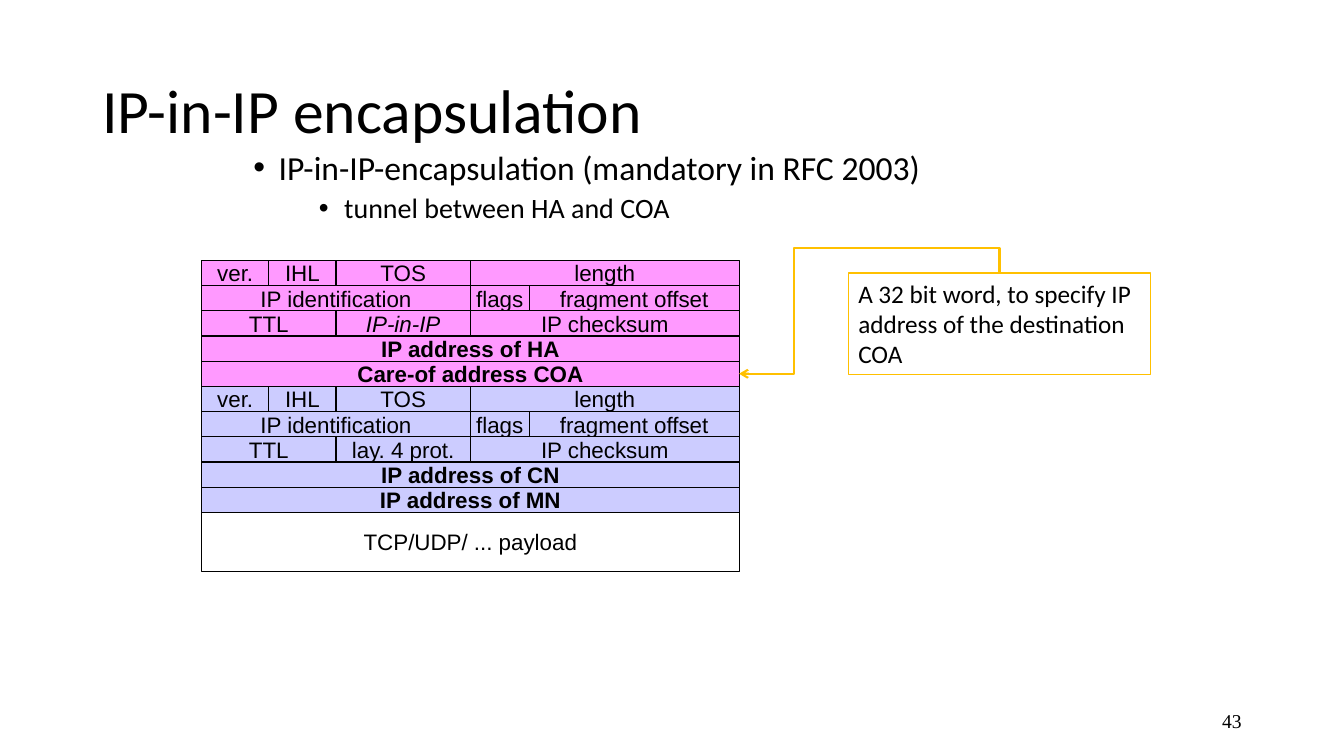
from lxml import etree
from pptx import Presentation
from pptx import util as u
from pptx.dml.color import RGBColor
from pptx.enum import shapes, text
from pptx.oxml.ns import qn

UNIT = u.Inches(1) / 12
COLUMNS, ROWS = 160, 90
BLACK, WHITE, GOLD = "000000", "FFFFFF", "FFC000"
OUTER, INNER = "FF99FF", "CCCCFF"


def colour(value):
    return RGBColor.from_string(value)


def grid(*cells):
    return [round(cell * UNIT) for cell in cells]


def child(parent, tag, **attributes):
    return etree.SubElement(parent, qn(tag), attributes)


class Page:
    def __init__(self, deck):
        self.items = deck.slides.add_slide(deck.slide_layouts[6]).shapes

    def style(self, para, size, face, bold=False, italic=False):
        font = para.font
        font.size, font.name = u.Pt(size), face
        font.bold, font.italic = bold, italic
        font.color.rgb = colour(BLACK)

    def label(self, place, words, size, face="Calibri", align=text.PP_ALIGN.LEFT, spacing=1.0):
        box = self.items.add_textbox(*grid(*place))
        box.text_frame.word_wrap = True
        box.text_frame.vertical_anchor = text.MSO_ANCHOR.MIDDLE
        para = box.text_frame.paragraphs[0]
        para.text, para.alignment, para.line_spacing = words, align, spacing
        self.style(para, size, face)

    def bullets(self, place, points):
        frame = self.items.add_textbox(*grid(*place)).text_frame
        frame.word_wrap = True
        for level, (words, size, before, margin) in enumerate(points):
            para = frame.add_paragraph() if level else frame.paragraphs[0]
            para.text, para.level = words, level
            para.line_spacing, para.space_before = 0.9, u.Pt(before)
            self.style(para, size, "Calibri")
            layout = para._p.get_or_add_pPr()
            layout.set("marL", str(u.Inches(margin)))
            layout.set("indent", str(-u.Inches(0.25)))
            bullet_font = etree.Element(qn("a:buFont"), typeface="Arial")
            layout.find(qn("a:defRPr")).addprevious(bullet_font)
            bullet_font.addnext(etree.Element(qn("a:buChar"), char="•"))

    def rectangle(self, place, words, fill, line, width):
        box = self.items.add_shape(shapes.MSO_SHAPE.RECTANGLE, *grid(*place))
        box.shadow.inherit = False
        if fill:
            box.fill.solid()
            box.fill.fore_color.rgb = colour(fill)
        else:
            box.fill.background()
        box.line.color.rgb, box.line.width = colour(line), u.Pt(width)
        box.text_frame.text = words
        return box

    def field(self, place, words, fill=None, bold=False, italic=False):
        box = self.rectangle(place, words, fill, BLACK, 0.75)
        box.text_frame.word_wrap = False
        box.text_frame.vertical_anchor = text.MSO_ANCHOR.MIDDLE
        para = box.text_frame.paragraphs[0]
        para.alignment = text.PP_ALIGN.CENTER
        self.style(para, 16, "Arial", bold, italic)
        return box

    def header(self, left, top, fill, protocol, italic, addresses):
        rows = [
            [("ver.", 8), ("IHL", 8), ("TOS", 16), ("length", 32)],
            [("IP identification", 32), ("flags", 7), ("fragment offset", 25)],
            [("TTL", 16), (protocol, 16), ("IP checksum", 32)],
            *[[(address, 64)] for address in addresses],
        ]
        for index, row in enumerate(rows):
            column = left
            for words, span in row:
                place = (column, top + 3 * index, span, 3)
                box = self.field(place, words, fill, words in addresses,
                                 italic and words == protocol)
                column += span
        return box

    def note(self, place, words):
        box = self.rectangle(place, words, WHITE, GOLD, 1)
        box.text_frame.word_wrap = True
        box.text_frame.vertical_anchor = text.MSO_ANCHOR.TOP
        para = box.text_frame.paragraphs[0]
        para.alignment = text.PP_ALIGN.LEFT
        self.style(para, 18, "Calibri")
        return box

    def bent_arrow(self, note, target, rise, bend):
        arrow = self.items.add_connector(shapes.MSO_CONNECTOR.ELBOW, 0, 0, 0, 0)
        arrow.begin_connect(note, 0)
        arrow.end_connect(target, 3)
        start_x, start_y = note.left + note.width // 2, note.top
        end_x, end_y = target.left + target.width, target.top + target.height // 2
        across, down = start_x - end_x, end_y - start_y
        arrow.width, arrow.height = down, across
        arrow.left = (start_x + end_x - down) // 2
        arrow.top = (start_y + end_y - across) // 2
        frame = arrow._element.spPr.find(qn("a:xfrm"))
        for name, value in (("rot", "16200000"), ("flipH", "1"), ("flipV", "1")):
            frame.set(name, value)
        outline = arrow._element.spPr.find(qn("a:prstGeom"))
        outline.set("prst", "bentConnector4")
        guides = outline.find(qn("a:avLst"))
        for name, share in (("adj1", rise), ("adj2", bend)):
            child(guides, "a:gd", name=name, fmla=f"val {round(share * 100000)}")
        arrow.line.color.rgb, arrow.line.width = colour(GOLD), u.Pt(1.5)
        child(arrow.line._get_or_add_ln(), "a:tailEnd", type="arrow")
        child(arrow._element.spPr, "a:effectLst")


def main():
    deck = Presentation()
    deck.slide_width, deck.slide_height = grid(COLUMNS, ROWS)
    page = Page(deck)
    page.label((113, 83.4, 36, 4.8), "43", 14, "Times New Roman", text.PP_ALIGN.RIGHT)
    page.label((11, 4.8, 138, 17.4), "IP-in-IP encapsulation", 44, spacing=0.9)
    page.bullets((29, 17.4, 102, 12.6), [
        ("IP-in-IP-encapsulation (mandatory in RFC 2003)", 24, 10, 0.25),
        ("tunnel between HA and COA", 20, 5, 0.9),
    ])
    care_of = page.header(24, 31, OUTER, "IP-in-IP", True,
                          ["IP address of HA", "Care-of address COA"])
    page.header(24, 46, INNER, "lay. 4 prot.", False,
                ["IP address of CN", "IP address of MN"])
    page.field((24, 61, 64, 7), "TCP/UDP/ ... payload")
    note = page.note((101, 32.5, 36, 12.1),
                     "A 32 bit word, to specify IP address of the destination COA")
    page.bent_arrow(note, care_of, -0.25, 0.79)
    deck.save("out.pptx")


if __name__ == "__main__":
    main()
